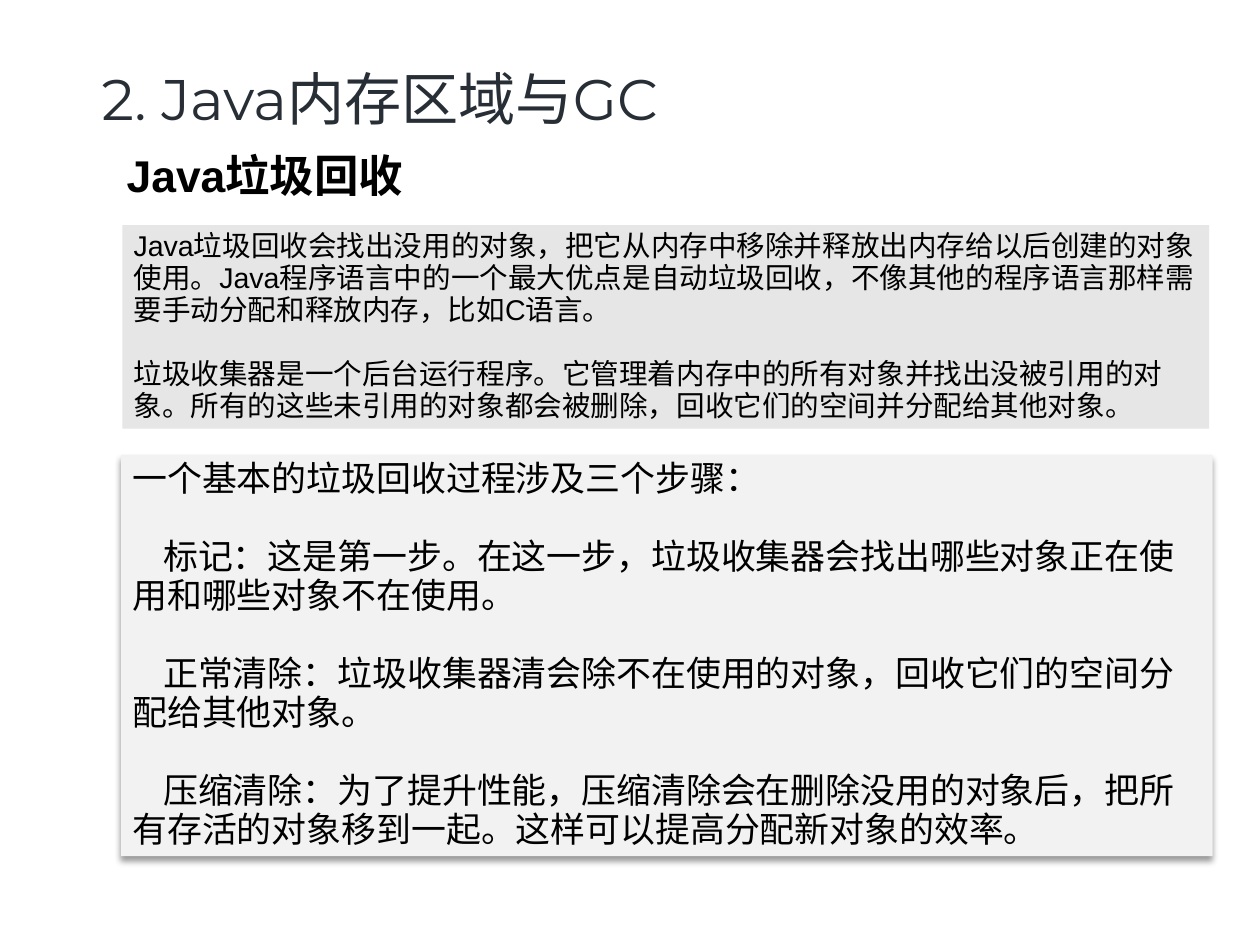
from dataclasses import dataclass

from lxml import etree
from pptx import Presentation
from pptx.dml.color import RGBColor
from pptx.enum.shapes import MSO_SHAPE
from pptx.enum.text import MSO_ANCHOR, MSO_AUTO_SIZE, PP_ALIGN
from pptx.oxml.ns import qn
from pptx.util import Inches, Pt

RECT = MSO_SHAPE.RECTANGLE
TOP = MSO_ANCHOR.TOP
GROW = MSO_AUTO_SIZE.SHAPE_TO_FIT_TEXT
LEFT = PP_ALIGN.LEFT
CM_PER_INCH = 2.54


@dataclass(frozen=True)
class Theme:
    title_font: str = "Montserrat"
    body_font: str = "Arial"
    title_color: str = "272E36"
    ink: str = "000000"
    summary_fill: str = "E6E6E6"
    steps_fill: str = "F2F2F2"
    title_size: float = 36
    heading_size: float = 28
    steps_size: float = 22
    summary_size: float = 18
    title_spacing: float = 1.18
    body_spacing: float = 0.93
    line_height: float = 1.12  # height of a body line relative to its type size


THEME = Theme()

SUMMARY = [
    "Java垃圾回收会找出没用的对象，把它从内存中移除并释放出内存给以后创建的对象使用。"
    "Java程序语言中的一个最大优点是自动垃圾回收，不像其他的程序语言那样需要手动分配和释放内存，比如C语言。",
    "垃圾收集器是一个后台运行程序。它管理着内存中的所有对象并找出没被引用的对象。"
    "所有的这些未引用的对象都会被删除，回收它们的空间并分配给其他对象。",
]
STEPS = [
    "一个基本的垃圾回收过程涉及三个步骤：",
    "标记：这是第一步。在这一步，垃圾收集器会找出哪些对象正在使用和哪些对象不在使用。",
    "正常清除：垃圾收集器清会除不在使用的对象，回收它们的空间分配给其他对象。",
    "压缩清除：为了提升性能，压缩清除会在删除没用的对象后，把所有存活的对象移到一起。"
    "这样可以提高分配新对象的效率。",
]


def write_text(sp, paragraphs, size, font=THEME.body_font, color=THEME.ink,
               bold=False, spacing=THEME.body_spacing, indent=0):
    """Fill a shape; later paragraphs stand one line apart, with an optional indent."""
    tf = sp.text_frame
    frame_format = {"word_wrap": True, "vertical_anchor": TOP, "auto_size": GROW}
    for name, value in frame_format.items():
        setattr(tf, name, value)
    font_format = {"name": font, "size": Pt(size), "bold": bold}
    for i, text in enumerate(paragraphs):
        p = tf.add_paragraph() if i else tf.paragraphs[0]
        p.alignment = LEFT
        p.line_spacing = spacing
        pPr = p._p.get_or_add_pPr()
        pPr.set("hangingPunct", "0")
        if i:
            p.space_before = Pt(round(size * THEME.line_height, 1))
            pPr.set("indent", str(Inches(indent)))
        r = p.add_run()
        r.text = text
        for name, value in font_format.items():
            setattr(r.font, name, value)
        r.font.color.rgb = RGBColor.from_string(color)


def add_label(s, box, text, **text_format):
    sp = s.shapes.add_textbox(*map(Inches, box))
    write_text(sp, [text], **text_format)


def add_panel(s, box, fill, paragraphs, **text_format):
    sp = s.shapes.add_shape(RECT, *map(Inches, box))
    sp.shadow.inherit = False
    sp.fill.solid()
    sp.fill.fore_color.rgb = RGBColor.from_string(fill)
    sp.line.fill.background()
    write_text(sp, paragraphs, **text_format)
    return sp


def add_drop_shadow(sp, blur=4, distance=3, opacity=40):
    effects = sp._element.spPr.find(qn("a:effectLst"))
    shadow = etree.SubElement(effects, qn("a:outerShdw"), {
        "blurRad": str(Pt(blur)), "dist": str(Pt(distance)),
        "dir": str(90 * 60000), "algn": "t", "rotWithShape": "0"})
    color = etree.SubElement(shadow, qn("a:srgbClr"), val=THEME.ink)
    etree.SubElement(color, qn("a:alpha"), val=str(opacity * 1000))


def main():
    prs = Presentation()
    # Page of 28 by 21 cm
    prs.slide_width = Inches(28 / CM_PER_INCH)
    prs.slide_height = Inches(21 / CM_PER_INCH)
    s = prs.slides.add_slide(prs.slide_layouts[6])

    # Title and heading
    add_label(s, (0.79, 0.4, 9.57, 0.8), "2. Java内存区域与GC",
              size=THEME.title_size, font=THEME.title_font,
              color=THEME.title_color, spacing=THEME.title_spacing)
    add_label(s, (1.01, 1.29, 6.16, 0.54), "Java垃圾回收",
              size=THEME.heading_size, bold=True)

    # Collection steps
    steps = add_panel(s, (1.06, 3.98, 9.55, 3.51), THEME.steps_fill, STEPS,
                      size=THEME.steps_size, indent=0.27)
    add_drop_shadow(steps)

    # Summary of garbage collection
    add_panel(s, (1.07, 1.97, 9.51, 1.78), THEME.summary_fill, SUMMARY,
              size=THEME.summary_size)

    prs.save("out.pptx")


if __name__ == "__main__":
    main()
